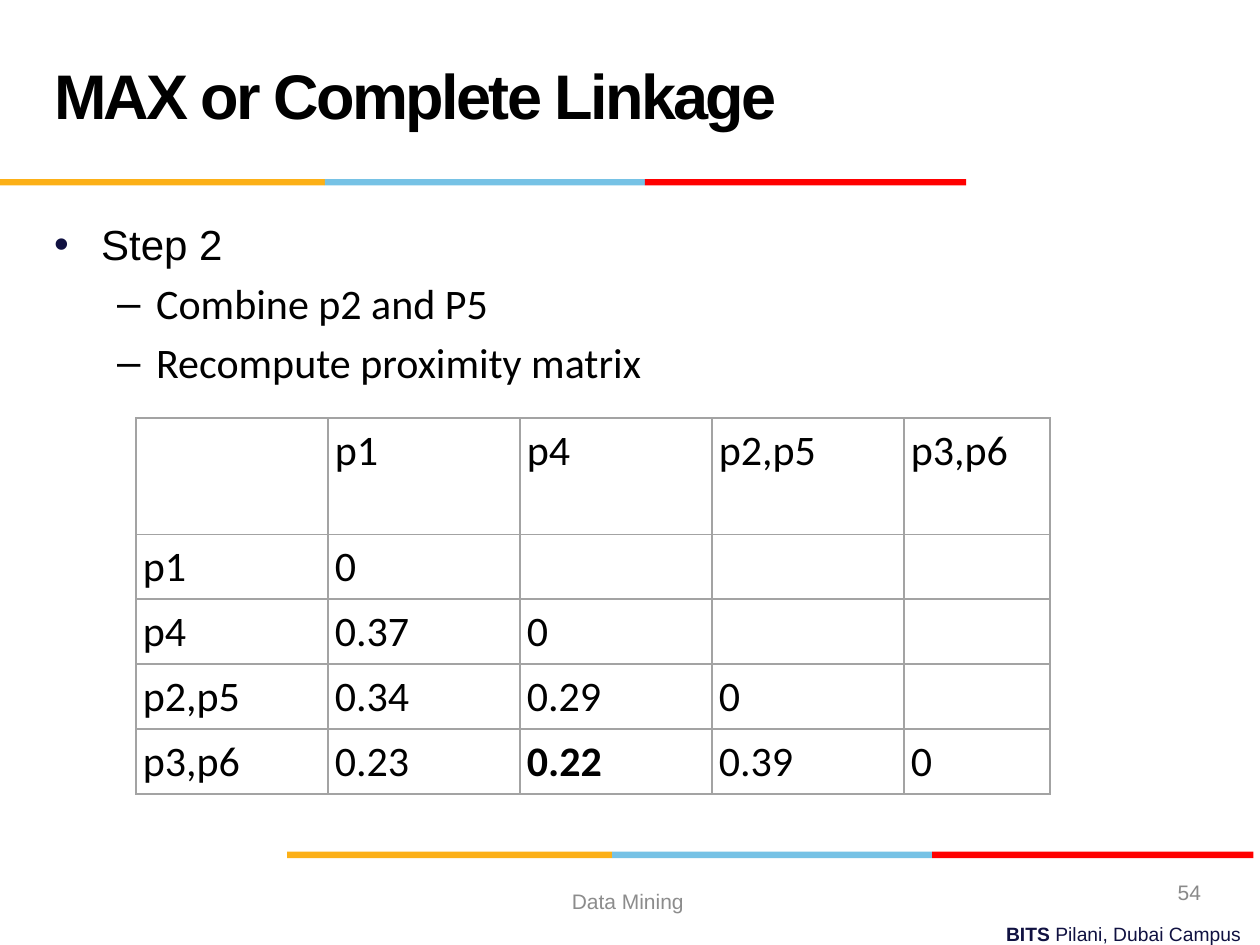
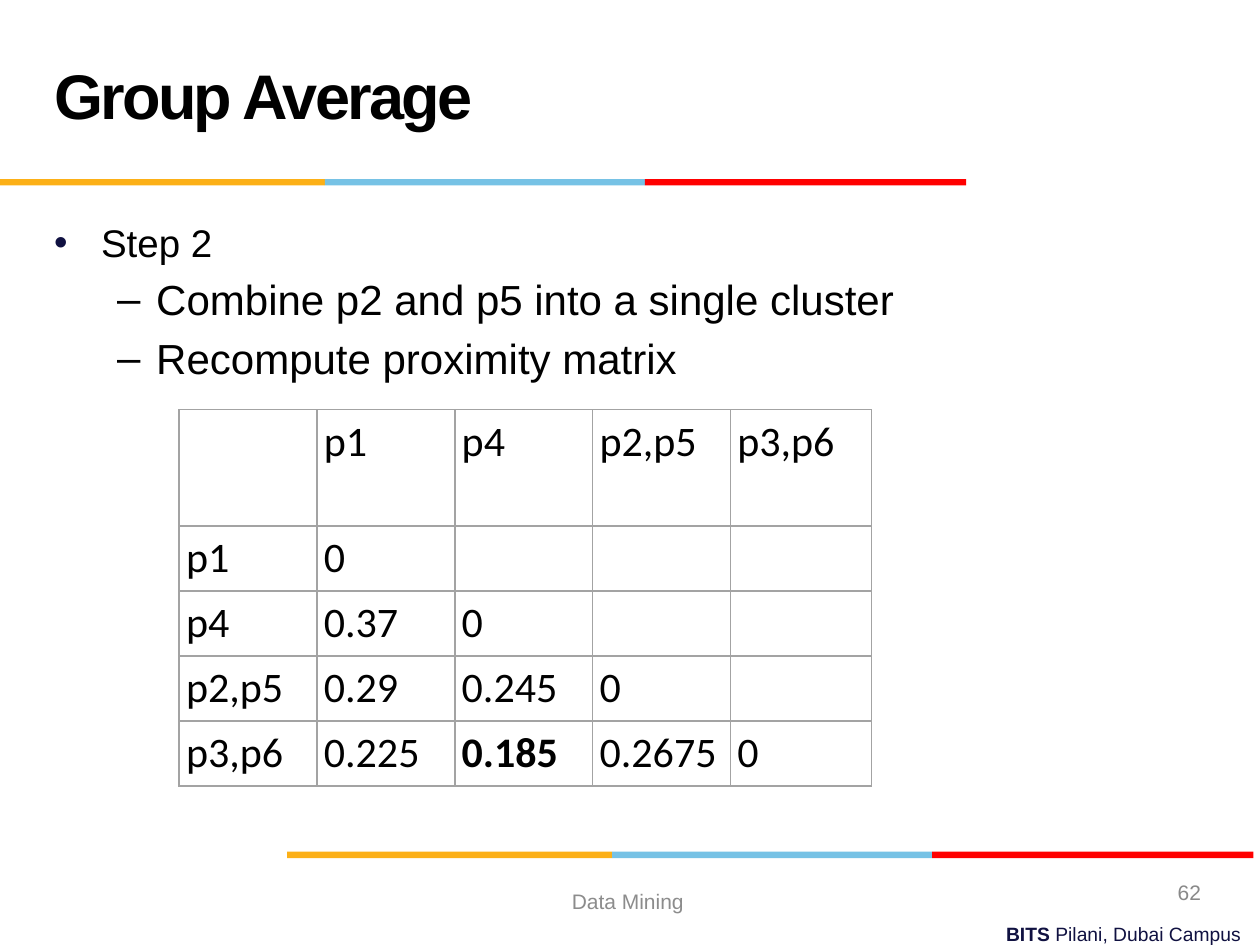
"""Builds two slides on proximity matrices in hierarchical clustering."""
from dataclasses import dataclass

from lxml import etree
from pptx import Presentation
from pptx import util as u
from pptx.dml import color
from pptx.enum import shapes, text
from pptx.oxml import ns

BLACK, NAVY, GREY, FOOTER_GREY, RULE_GREY = "000000", "101141", "898989", "8C8C8C", "A3A3A3"
BAND = (("FCB017", 6.55), ("76C2E5", 6.45), ("FF0000", 6.48))
CLUSTERS = ("p1", "p4", "p2,p5", "p3,p6")
HEADER_HEIGHT, ROW_HEIGHT, CELL_MARGIN = 2.34, 1.31, 0.14


@dataclass(frozen=True)
class Box:
    """Place of a text box in centimetres."""
    left: float
    top: float
    width: float
    height: float


@dataclass(frozen=True)
class Bullet:
    """Look of one outline level."""
    char: str
    margin: float
    hanging: float
    hue: str


@dataclass(frozen=True)
class Step:
    """One paragraph of the outline."""
    words: str
    level: int
    size: int
    face: str


@dataclass(frozen=True)
class Matrix:
    """Lower triangle of distances with its place and column widths."""
    left: float
    top: float
    column: float
    last_column: float
    distances: tuple[tuple[str, ...], ...]


@dataclass(frozen=True)
class Page:
    """Content of one slide."""
    title: str
    number: int
    steps: tuple[Step, ...]
    matrix: Matrix


TITLE = Box(0.84, 0.43, 17.58, 3.18)
OUTLINE = Box(0.84, 4.14, 22.86, 12.57)
CAMPUS = Box(8.97, 18.47, 16.3, 0.74)
COURSE = Box(8.69, 17.65, 8.05, 1.02)
NUMBER = Box(18.54, 17.48, 5.92, 1.02)
BULLETS = (Bullet("•", 0.95, 0.95, NAVY), Bullet("–", 2.06, 0.79, BLACK))

PAGES = (
    Page("MAX or Complete Linkage", 54,
         (Step("Step 2", 0, 24, "Arial"),
          Step("Combine p2 and P5", 1, 24, "Calibri"),
          Step("Recompute proximity matrix", 1, 24, "Calibri")),
         Matrix(2.74, 8.43, 3.87, 2.95,
                (("0",), ("0.37", "0"), ("0.34", "0.29", "0"), ("0.23", "0.22", "0.39", "0")))),
    Page("Group Average", 62,
         (Step("Step 2", 0, 22, "Arial"),
          Step("Combine p2 and p5 into a single cluster", 1, 24, "Arial"),
          Step("Recompute proximity matrix", 1, 24, "Arial")),
         Matrix(3.61, 8.26, 2.78, 2.84,
                (("0",), ("0.37", "0"), ("0.29", "0.245", "0"),
                 ("0.225", "0.185", "0.2675", "0")))),
)


def rgb(hex_code: str) -> color.RGBColor:
    """Turn a hex string into a colour."""
    return color.RGBColor.from_string(hex_code)


def style(run, size: int, hue: str, bold: bool = False, face: str = "Arial") -> None:
    """Format one run."""
    run.font.size, run.font.bold, run.font.name = u.Pt(size), bold, face
    run.font.color.rgb = rgb(hue)


def add_words(slide, box: Box, words: str, align=text.PP_ALIGN.LEFT,
              anchor=text.MSO_ANCHOR.MIDDLE):
    """Add a wrapping text box and return its frame."""
    frame = slide.shapes.add_textbox(
        u.Cm(box.left), u.Cm(box.top), u.Cm(box.width), u.Cm(box.height)).text_frame
    frame.word_wrap, frame.vertical_anchor = True, anchor
    frame.text = words
    frame.paragraphs[0].alignment = align
    return frame


def add_band(slide, left: float, top: float) -> None:
    """Draw the three-coloured band from left to right."""
    for hue, width in BAND:
        stripe = slide.shapes.add_shape(
            shapes.MSO_SHAPE.RECTANGLE, u.Cm(left), u.Cm(top), u.Cm(width), u.Cm(0.13))
        stripe.shadow.inherit = False
        stripe.fill.solid()
        stripe.fill.fore_color.rgb = rgb(hue)
        stripe.line.fill.background()
        left += width


def add_frame(slide, page: Page) -> None:
    """Add the title, bands and footers shared by all slides."""
    add_band(slide, 5.79, 17.17)
    add_band(slide, 0, 3.61)
    title = add_words(slide, TITLE, page.title).paragraphs[0]
    title.line_spacing = u.Pt(36)
    style(title.runs[0], 36, BLACK, bold=True)
    title.runs[0].font._element.set("spc", "-150")

    campus = add_words(slide, CAMPUS, "BITS ", text.PP_ALIGN.RIGHT,
                       text.MSO_ANCHOR.TOP).paragraphs[0]
    campus.add_run().text = "Pilani, Dubai Campus"
    for run, bold in zip(campus.runs, (True, False)):
        style(run, 11, NAVY, bold)

    course = add_words(slide, COURSE, "Data Mining ", text.PP_ALIGN.CENTER)
    style(course.paragraphs[0].runs[0], 12, FOOTER_GREY)
    number = add_words(slide, NUMBER, str(page.number), text.PP_ALIGN.RIGHT)
    style(number.paragraphs[0].runs[0], 12, GREY)


def add_bullet(paragraph, bullet: Bullet) -> None:
    """Give a paragraph its hanging bullet."""
    props = paragraph._p.get_or_add_pPr()
    props.set("marL", str(u.Cm(bullet.margin)))
    props.set("indent", str(-u.Cm(bullet.hanging)))
    hue = etree.SubElement(props, ns.qn("a:buClr"))
    etree.SubElement(hue, ns.qn("a:srgbClr"), val=bullet.hue)
    etree.SubElement(props, ns.qn("a:buFont"), typeface="Arial")
    etree.SubElement(props, ns.qn("a:buChar"), char=bullet.char)


def add_outline(slide, steps: tuple[Step, ...]) -> None:
    """Write the bulleted steps."""
    frame = add_words(slide, OUTLINE, "\n".join(step.words for step in steps),
                      anchor=text.MSO_ANCHOR.TOP)
    frame.margin_top = u.Cm(0.27)
    for index, (paragraph, step) in enumerate(zip(frame.paragraphs, steps)):
        add_bullet(paragraph, BULLETS[step.level])
        paragraph.level = step.level
        if index:
            paragraph.space_before = u.Pt(5)
        style(paragraph.runs[0], step.size, BLACK, face=step.face)


def add_borders(cell) -> None:
    """Draw a thin grey line on each side of a cell."""
    props = cell._tc.get_or_add_tcPr()
    for side in ("lnL", "lnR", "lnT", "lnB"):
        line = etree.SubElement(props, ns.qn(f"a:{side}"), w=str(u.Pt(1)))
        fill = etree.SubElement(line, ns.qn("a:solidFill"))
        etree.SubElement(fill, ns.qn("a:srgbClr"), val=RULE_GREY)


def add_matrix(slide, matrix: Matrix) -> None:
    """Draw the proximity matrix with its smallest distance in bold."""
    rows = [("", *CLUSTERS)]
    rows += [(name, *values) for name, values in zip(CLUSTERS, matrix.distances)]
    nearest = min((value for values in matrix.distances for value in values[:-1]), key=float)
    widths = [matrix.column] * len(CLUSTERS) + [matrix.last_column]
    heights = [HEADER_HEIGHT] + [ROW_HEIGHT] * len(CLUSTERS)
    grid = slide.shapes.add_table(
        len(heights), len(widths), u.Cm(matrix.left), u.Cm(matrix.top),
        u.Cm(sum(widths)), u.Cm(sum(heights))).table
    grid.first_row = grid.horz_banding = False
    for column, width in zip(grid.columns, widths):
        column.width = u.Cm(width)
    for row, height in zip(grid.rows, heights):
        row.height = u.Cm(height)
    for cell in grid.iter_cells():
        add_borders(cell)
        cell.fill.background()
        cell.margin_left = cell.margin_right = u.Cm(CELL_MARGIN)
        cell.margin_top = cell.margin_bottom = u.Cm(CELL_MARGIN)
    for row_index, values in enumerate(rows):
        for column_index, value in enumerate(values):
            if value:
                frame = grid.cell(row_index, column_index).text_frame
                frame.text = value
                style(frame.paragraphs[0].runs[0], 24, BLACK, value == nearest, "Calibri")


def main() -> None:
    """Build and save the slides."""
    deck = Presentation()
    deck.slide_width, deck.slide_height = u.Cm(25.4), u.Cm(19.05)
    for page in PAGES:
        slide = deck.slides.add_slide(deck.slide_layouts[6])
        add_frame(slide, page)
        add_outline(slide, page.steps)
        add_matrix(slide, page.matrix)
    deck.save("out.pptx")


if __name__ == "__main__":
    main()
